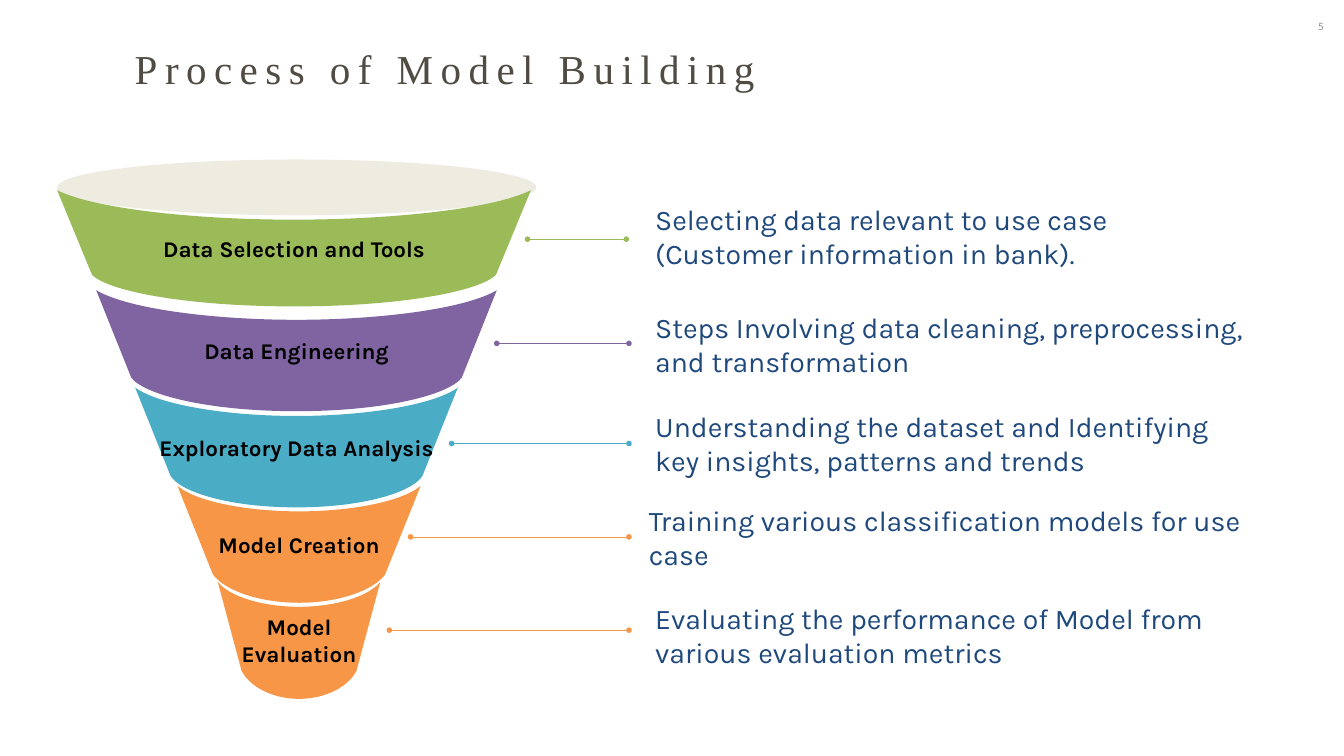
from lxml.etree import SubElement
from pptx import Presentation
from pptx.dml.color import RGBColor
from pptx.enum.shapes import MSO_CONNECTOR, MSO_SHAPE
from pptx.enum.text import MSO_ANCHOR, MSO_AUTO_SIZE, PP_ALIGN
from pptx.oxml.ns import qn
from pptx.util import Pt

TITLE = "Process of Model Building"
PAGE = "5"

# How the arcs bend: control offsets near the edge and the middle, and the rise of the first
RIM_BEND = (0.16, 0.59, 0.64)
WIDE_BEND = (0.08, 0.47, 0.52)
NARROW_BEND = (0.14, 0.54, 0.57)

# Funnel band: centre, half width at rim and at knee, then heights of rim, dip, knee, bottom
# Leader: start x, end x, y.  Note: left, top, width
STAGES = [
    dict(label="Data Selection and Tools", color="9BBB59", bend=WIDE_BEND,
         note="Selecting data relevant to use case (Customer information in bank).",
         band=(315, 253.8, 216.4, 203.8, 235.4, 294.5, 328.3),
         leader=(565.2, 671, 256.3), note_at=(702, 225.7, 630)),
    dict(label="Data Engineering", color="8064A2", bend=WIDE_BEND,
         note="Steps Involving data cleaning, preprocessing, and transformation",
         band=(317.7, 214.6, 177.1, 311, 342.7, 404.6, 440.6),
         leader=(532.3, 673.9, 367.9), note_at=(702, 341.3, 630)),
    dict(label="Exploratory Data Analysis", color="4BACC6", bend=WIDE_BEND,
         note="Understanding the dataset and Identifying key insights, patterns and trends",
         band=(317.7, 172.8, 135, 415.4, 445.7, 509.8, 543.6),
         leader=(484, 673.9, 475.2), note_at=(702, 448.1, 642.2)),
    dict(label="Model Creation", color="F79646", bend=NARROW_BEND,
         note="Training various classification models for use case",
         band=(320.4, 130.3, 92.2, 520.6, 547.9, 615.6, 645.8),
         leader=(439.9, 673.9, 575.3), note_at=(695.1, 548.6, 648.7)),
    dict(label="Model Evaluation", color="F79646", bend=NARROW_BEND,
         note="Evaluating the performance of Model from various evaluation metrics",
         band=(320.4, 87.1, 61.6, 623.5, 650.2, 718.6, 748.8),
         leader=(417.1, 673.9, 675.2), note_at=(702, 653.3, 648.7)),
]

THEME = dict(
    opening="EEECE1",
    title=dict(name="Times New Roman", size=Pt(44), bold=False, color="504C44"),
    page=dict(name="Calibri", size=Pt(12), color="8C8C8C"),
    label=dict(name="Karla", size=Pt(24), bold=True, color="000000"),
    note=dict(name="Karla", size=Pt(30.5), color="1F497D"),
)


def write(shape, text, style, align=PP_ALIGN.LEFT, anchor=MSO_ANCHOR.TOP, inset=(0, 0)):
    frame = shape.text_frame
    side, end = map(Pt, inset)
    settings = dict(word_wrap=True, auto_size=MSO_AUTO_SIZE.NONE, vertical_anchor=anchor,
                    margin_left=side, margin_right=side, margin_top=end, margin_bottom=end)
    for key, value in settings.items():
        setattr(frame, key, value)
    paragraph = frame.paragraphs[0]
    paragraph.alignment = align
    run = paragraph.add_run()
    run.text = text
    for key, value in style.items():
        if key == "color":
            run.font.color.rgb = RGBColor.from_string(value)
        else:
            setattr(run.font, key, value)
    return paragraph


def paint(shape, color):
    shape.shadow.inherit = False
    shape.fill.solid()
    shape.fill.fore_color.rgb = RGBColor.from_string(color)
    shape.line.fill.background()


def half_arc(half, edge, middle, bend):
    """Cubic from the outer edge to the centre line: four (offset, y) points."""
    near, far, rise = bend
    return [(half, edge), (half * (1 - near), edge + rise * (middle - edge)),
            (half * (1 - far), middle), (0, middle)]


def mirror(points):
    return [(-x, y) for x, y in reversed(points)]


def add_band(shapes, bend, centre, rim, knee, top, dip, knee_y, bottom):
    upper = half_arc(rim, top, dip, RIM_BEND)
    lower = half_arc(knee, knee_y, bottom, bend)
    # Clockwise from the right knee; None leaves a side straight
    arcs = [lower, mirror(lower), None, mirror(upper)[::-1], upper[::-1]]
    anchors = [(knee, knee_y), (0, bottom), (-knee, knee_y), (-rim, top), (0, dip), (rim, top)]
    corners = [(Pt(centre + x), Pt(y)) for x, y in anchors]
    builder = shapes.build_freeform(*corners[0], scale=1.0)
    builder.add_line_segments(corners[1:], close=True)
    band = builder.convert_to_shape()

    # Turn the arc segments into cubics
    sides = list(band._element.iter(qn("a:lnTo")))
    for side, arc in zip(sides, arcs):
        if arc is None:
            continue
        side.tag = qn("a:cubicBezTo")
        end = side[0]
        for x, y in arc[1:3]:
            control = SubElement(side, qn("a:pt"))
            control.set("x", str(Pt(centre + x) - band.left))
            control.set("y", str(Pt(y) - band.top))
        side.append(end)
    return band


def add_leader(shapes, start, end, y, color):
    leader = shapes.add_connector(MSO_CONNECTOR.STRAIGHT, Pt(start), Pt(y), Pt(end), Pt(y))
    leader.line.width = Pt(0.75)
    leader.line.color.rgb = RGBColor.from_string(color)
    outline = leader.line._get_or_add_ln()
    for tip in ("a:headEnd", "a:tailEnd"):
        SubElement(outline, qn(tip), type="oval")
    SubElement(leader._element.spPr, qn("a:effectLst"))


def main():
    deck = Presentation()
    deck.slide_width, deck.slide_height = Pt(1440), Pt(810)
    slide = deck.slides.add_slide(deck.slide_layouts[5])
    shapes = slide.shapes

    # Title and page number
    title = shapes.title
    for key, value in dict(left=90, top=43.2, width=774, height=72.7).items():
        setattr(title, key, Pt(value))
    heading = write(title, TITLE, THEME["title"], PP_ALIGN.CENTER)
    heading.line_spacing = Pt(56)
    heading.runs[0].font._element.set("spc", "800")
    page = shapes.add_textbox(Pt(1332), Pt(20.2), Pt(86.4), Pt(61.9))
    write(page, PAGE, THEME["page"], PP_ALIGN.RIGHT)

    # Funnel opening
    opening = shapes.add_shape(MSO_SHAPE.OVAL, Pt(61.2), Pt(170.9), Pt(513.4), Pt(59.8))
    paint(opening, THEME["opening"])

    # Funnel bands with their leaders and notes
    for stage in STAGES:
        band = add_band(shapes, stage["bend"], *stage["band"])
        paint(band, stage["color"])
        write(band, stage["label"], THEME["label"], PP_ALIGN.CENTER, MSO_ANCHOR.MIDDLE, (10.8, 5))
        add_leader(shapes, *stage["leader"], stage["color"])
        left, top, width = stage["note_at"]
        note = shapes.add_textbox(Pt(left), Pt(top), Pt(width), Pt(54))
        write(note, stage["note"], THEME["note"], anchor=MSO_ANCHOR.MIDDLE)

    deck.save("out.pptx")


if __name__ == "__main__":
    main()
